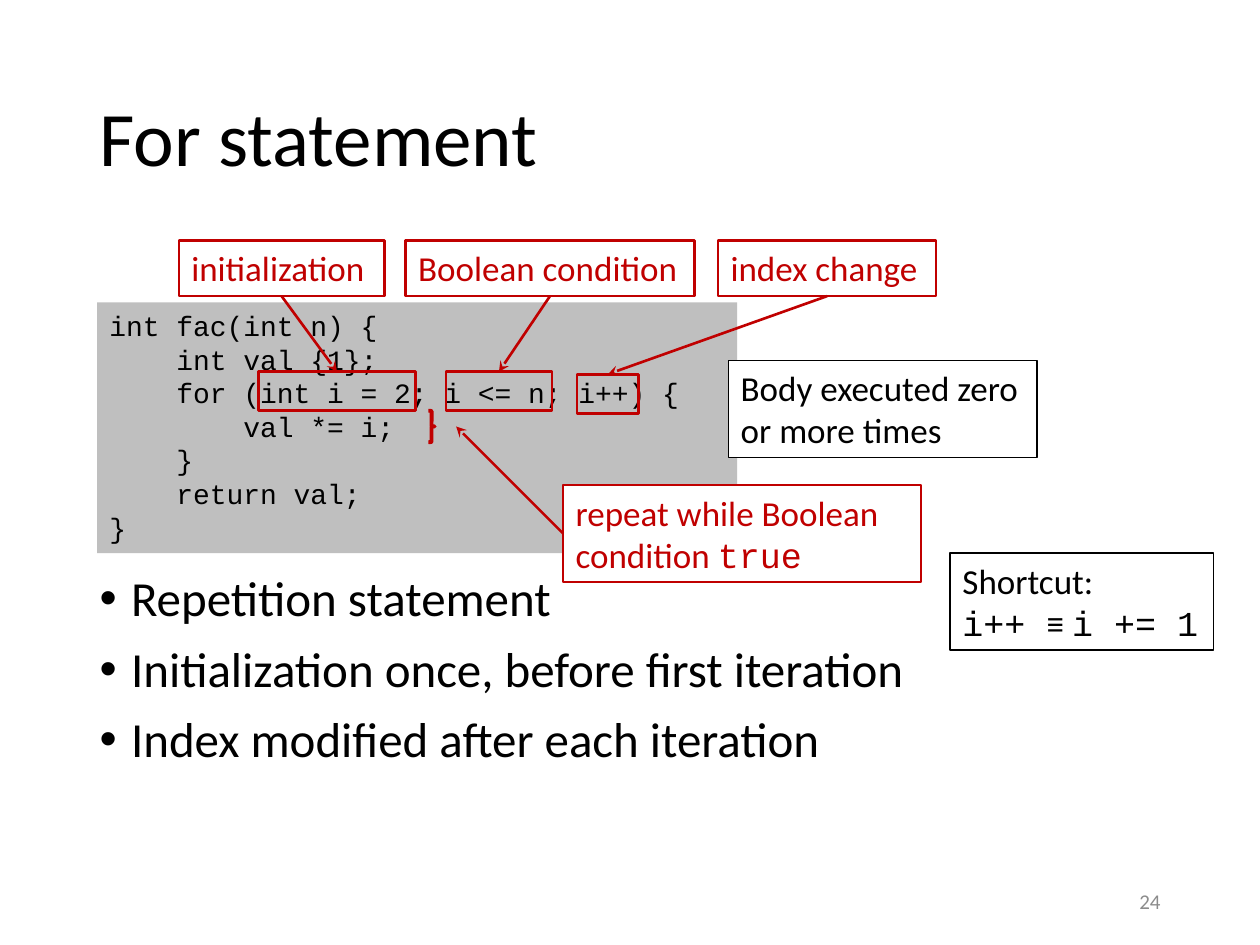
from lxml import etree
from pptx import Presentation
from pptx.dml.color import RGBColor
from pptx.enum.shapes import MSO_CONNECTOR, MSO_SHAPE
from pptx.enum.text import MSO_ANCHOR, MSO_AUTO_SIZE, PP_ALIGN
from pptx.oxml.ns import qn
from pptx.util import Inches, Pt

RECTANGLE, BRACE = MSO_SHAPE.RECTANGLE, MSO_SHAPE.RIGHT_BRACE
STRAIGHT = MSO_CONNECTOR.STRAIGHT
TOP, MIDDLE = MSO_ANCHOR.TOP, MSO_ANCHOR.MIDDLE
LEFT, RIGHT = PP_ALIGN.LEFT, PP_ALIGN.RIGHT
GROW, NO_FIT = MSO_AUTO_SIZE.SHAPE_TO_FIT_TEXT, MSO_AUTO_SIZE.NONE

THEME = {
    "black": "000000", "red": "C00000", "white": "FFFFFF",
    "code_fill": "BFBFBF", "number": "8C8C8C",
    "text_font": "Calibri", "code_font": "Courier New",
    "title": 44, "body": 28, "label": 20, "code": 16, "small": 12,
    "thin": 0.75, "medium": 1.5, "thick": 2.25,
}

# Content: boxes are left, top, width, height in inches
TITLE = "For statement"
TITLE_BOX = (0.69, 0.4, 8.62, 1.45)
BULLETS = [
    "Repetition statement",
    "Initialization once, before first iteration",
    "Index modified after each iteration",
]
BODY_BOX = (0.69, 4.51, 8.62, 2.25)
CODE = [
    "int fac(int n) {",
    "    int val {1};",
    "    for (int i = 2; i <= n; i++) {",
    "        val *= i;",
    "    }",
    "    return val;",
    "}",
]
CODE_BOX = (0.77, 2.4, 5.08, 1.99)
# Each label in the row points down at one part of the loop header
LABEL_TOP, LABEL_HEIGHT, MARK_HEIGHT = 1.91, 0.44, 0.31
LOOP_PARTS = [  # label, its left and width; mark's left, top and width
    ("Boolean condition", 3.22, 2.29, 3.54, 2.95, 0.84),
    ("initialization", 1.42, 1.63, 2.05, 2.95, 1.25),
    ("index change", 5.7, 1.73, 4.58, 2.97, 0.49),
]
REPEAT = [[("repeat while Boolean condition ", "text_font"), ("true", "code_font")]]
REPEAT_BOX = (4.47, 3.85, 2.84, 0.77)
BRACE_BOX = (3.4, 3.26, 0.05, 0.25)
BRACE_GAP = 0.17
SHORTCUT = [
    [("Shortcut:", "text_font")],
    [("i++ ", "code_font"), ("≡ ", "text_font"), ("i += 1", "code_font")],
]
SHORTCUT_BOX = (7.54, 4.39, 2.09, 0.77)
TIMES = "Body executed zero or more times"
TIMES_BOX = (5.78, 2.86, 2.45, 0.77)
PAGE, PAGE_BOX = "24", (7.06, 6.95, 2.25, 0.4)


def color(name):
    return RGBColor.from_string(THEME[name])


def set_values(target, **values):
    for name, value in values.items():
        setattr(target, name, value)


def place(shape, box):
    names = ("left", "top", "width", "height")
    set_values(shape, **dict(zip(names, map(Inches, box))))


def plain(text, font="text_font"):
    return [[(text, font)]]


def write(shape, lines, size, ink="black", anchor=TOP, align=LEFT, fit=GROW, **spacing):
    """Fill a shape with paragraphs, each a list of (text, font) runs."""
    frame = shape.text_frame
    set_values(frame, word_wrap=True, auto_size=fit, vertical_anchor=anchor)
    for index, runs in enumerate(lines):
        paragraph = frame.add_paragraph() if index else frame.paragraphs[0]
        set_values(paragraph, alignment=align, **spacing)
        if index == 0:
            paragraph.space_before = Pt(0)
        for text, font in runs:
            run = paragraph.add_run()
            run.text = text
            set_values(run.font, size=Pt(THEME[size]), name=THEME[font])
            run.font.color.rgb = color(ink)


def add_outline(shapes, kind, box, fill=None, line=None, width="medium"):
    shape = shapes.add_shape(kind, *map(Inches, box))
    shape.shadow.inherit = False
    if fill:
        shape.fill.solid()
        shape.fill.fore_color.rgb = color(fill)
    else:
        shape.fill.background()
    if line:
        shape.line.color.rgb = color(line)
        shape.line.width = Pt(THEME[width])
    else:
        shape.line.fill.background()
    return shape


def add_arrow(shapes, start, end):
    arrow = shapes.add_connector(STRAIGHT, *map(Inches, start + end))
    arrow.line.color.rgb = color("red")
    arrow.line.width = Pt(THEME["medium"])
    etree.SubElement(arrow.line._get_or_add_ln(), qn("a:tailEnd"), type="stealth")
    etree.SubElement(arrow._element.spPr, qn("a:effectLst"))


def add_label(shapes, box, lines):
    write(add_outline(shapes, RECTANGLE, box, "white", "red"), lines, "label", "red")


presentation = Presentation()
set_values(presentation, slide_width=Inches(10), slide_height=Inches(7.5))
slide = presentation.slides.add_slide(presentation.slide_layouts[1])
shapes = slide.shapes

# Title and bullet list
title, body = slide.placeholders
place(title, TITLE_BOX)
write(title, plain(TITLE), "title", anchor=MIDDLE, fit=NO_FIT, line_spacing=0.9)
place(body, BODY_BOX)
write(body, [[(text, "text_font")] for text in BULLETS], "body", fit=NO_FIT,
      line_spacing=0.9, space_before=Pt(10))
for paragraph in body.text_frame.paragraphs:
    properties = paragraph._p.get_or_add_pPr()
    properties.set("marL", str(Inches(0.25)))
    properties.set("indent", str(Inches(-0.25)))
    etree.SubElement(properties, qn("a:buFont"), typeface="Arial")
    etree.SubElement(properties, qn("a:buChar"), char="•")

# Page number
write(shapes.add_textbox(*map(Inches, PAGE_BOX)), plain(PAGE), "small", "number",
      MIDDLE, RIGHT, NO_FIT)

# Code
code = add_outline(shapes, RECTANGLE, CODE_BOX, "code_fill")
write(code, [[(line, "code_font")] for line in CODE], "code")

# Labels for the parts of the loop header
for text, left, width, mark_left, mark_top, mark_width in LOOP_PARTS:
    group = shapes.add_group_shape().shapes
    add_label(group, (left, LABEL_TOP, width, LABEL_HEIGHT), plain(text))
    add_outline(group, RECTANGLE, (mark_left, mark_top, mark_width, MARK_HEIGHT), line="red")
    add_arrow(group, (left + width / 2, LABEL_TOP + LABEL_HEIGHT),
              (mark_left + mark_width / 2, mark_top))

# Label for the loop body
group = shapes.add_group_shape().shapes
add_outline(group, BRACE, BRACE_BOX, line="red", width="thick")
add_label(group, REPEAT_BOX, REPEAT)
left, top, width, height = BRACE_BOX
add_arrow(group, (REPEAT_BOX[0], REPEAT_BOX[1] + REPEAT_BOX[3] / 2),
          (left + width + BRACE_GAP, top + height / 2))

# Side notes
for box, lines, fill in ((SHORTCUT_BOX, SHORTCUT, None), (TIMES_BOX, plain(TIMES), "white")):
    write(add_outline(shapes, RECTANGLE, box, fill, "black", "thin"), lines, "label")

presentation.save("out.pptx")
